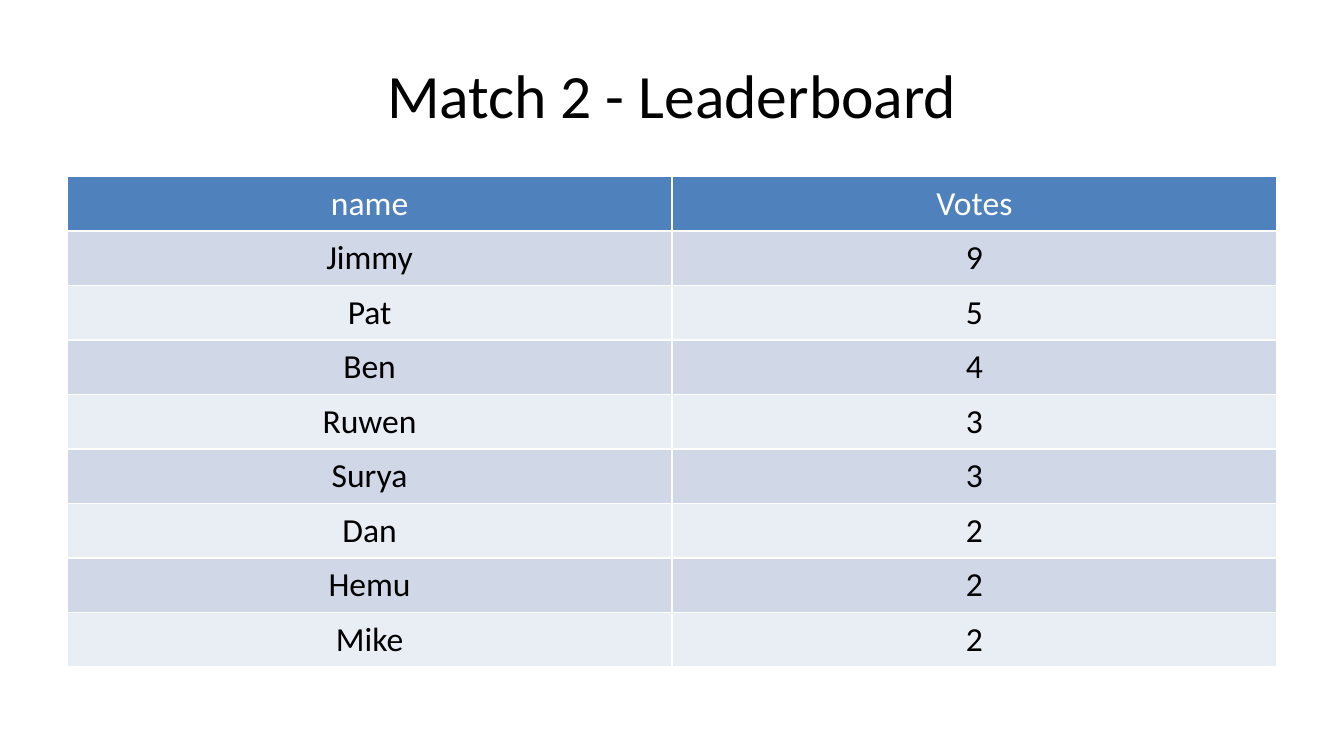
from dataclasses import dataclass

from lxml.etree import SubElement
from pptx import Presentation
from pptx.dml.color import RGBColor as Rgb
from pptx.enum.text import MSO_ANCHOR as Anchor, PP_ALIGN as Align
from pptx.oxml.ns import qn
from pptx.util import Emu, Pt

EMU_PER_PX = 9525
TITLE_ONLY = 5
PAGE_SIZE = (960, 540)
TITLE_BOX = (48, 22, 864, 90)
TABLE_BOX = (48, 126, 864, 342)

TITLE = "Match 2 - Leaderboard"
HEADER = ("name", "Votes")
SCORES = [
    ("Jimmy", 9),
    ("Pat", 5),
    ("Ben", 4),
    ("Ruwen", 3),
    ("Surya", 3),
    ("Dan", 2),
    ("Hemu", 2),
    ("Mike", 2),
]


@dataclass(frozen=True)
class Theme:
    font: str = "Calibri"
    title_size: int = 33
    table_size: int = 18
    ink: str = "000000"
    header_ink: str = "FFFFFF"
    header_fill: str = "4F81BD"
    band_fills: tuple = ("D0D8E8", "E9EDF4")
    border: str = "FFFFFF"
    border_width: int = 1


THEME = Theme()


def px(length):
    return Emu(length * EMU_PER_PX)


def write(frame, text, size, color):
    para = frame.paragraphs[0]
    para.alignment = Align.CENTER
    span = para.add_run()
    span.text = text
    formats = {"name": THEME.font, "size": Pt(size), "bold": False}
    for name, value in formats.items():
        setattr(span.font, name, value)
    span.font.color.rgb = Rgb.from_string(color)


def add_borders(cell):
    properties = cell._tc.get_or_add_tcPr()
    for side in ("lnL", "lnR", "lnT", "lnB"):
        line = SubElement(properties, qn(f"a:{side}"), w=str(Pt(THEME.border_width)))
        fill = SubElement(line, qn("a:solidFill"))
        SubElement(fill, qn("a:srgbClr"), val=THEME.border)


def place_title(page, box, text):
    title = page.shapes.title
    for name, value in zip(("left", "top", "width", "height"), box):
        setattr(title, name, px(value))
    title.text_frame.word_wrap = True
    title.text_frame.vertical_anchor = Anchor.MIDDLE
    write(title.text_frame, text, THEME.title_size, THEME.ink)


def place_leaderboard(page, box, header, scores):
    rows = [header, *scores]
    table = page.shapes.add_table(len(rows), len(header), *map(px, box)).table
    for index, row in enumerate(rows):
        if index == 0:
            fill, ink = THEME.header_fill, THEME.header_ink
        else:
            fill, ink = THEME.band_fills[(index - 1) % 2], THEME.ink
        for column, value in enumerate(row):
            cell = table.cell(index, column)
            add_borders(cell)
            cell.fill.solid()
            cell.fill.fore_color.rgb = Rgb.from_string(fill)
            write(cell.text_frame, str(value), THEME.table_size, ink)


def main():
    deck = Presentation()
    deck.slide_width, deck.slide_height = map(px, PAGE_SIZE)
    page = deck.slides.add_slide(deck.slide_layouts[TITLE_ONLY])
    place_title(page, TITLE_BOX, TITLE)
    place_leaderboard(page, TABLE_BOX, HEADER, SCORES)
    deck.save("out.pptx")


if __name__ == "__main__":
    main()
